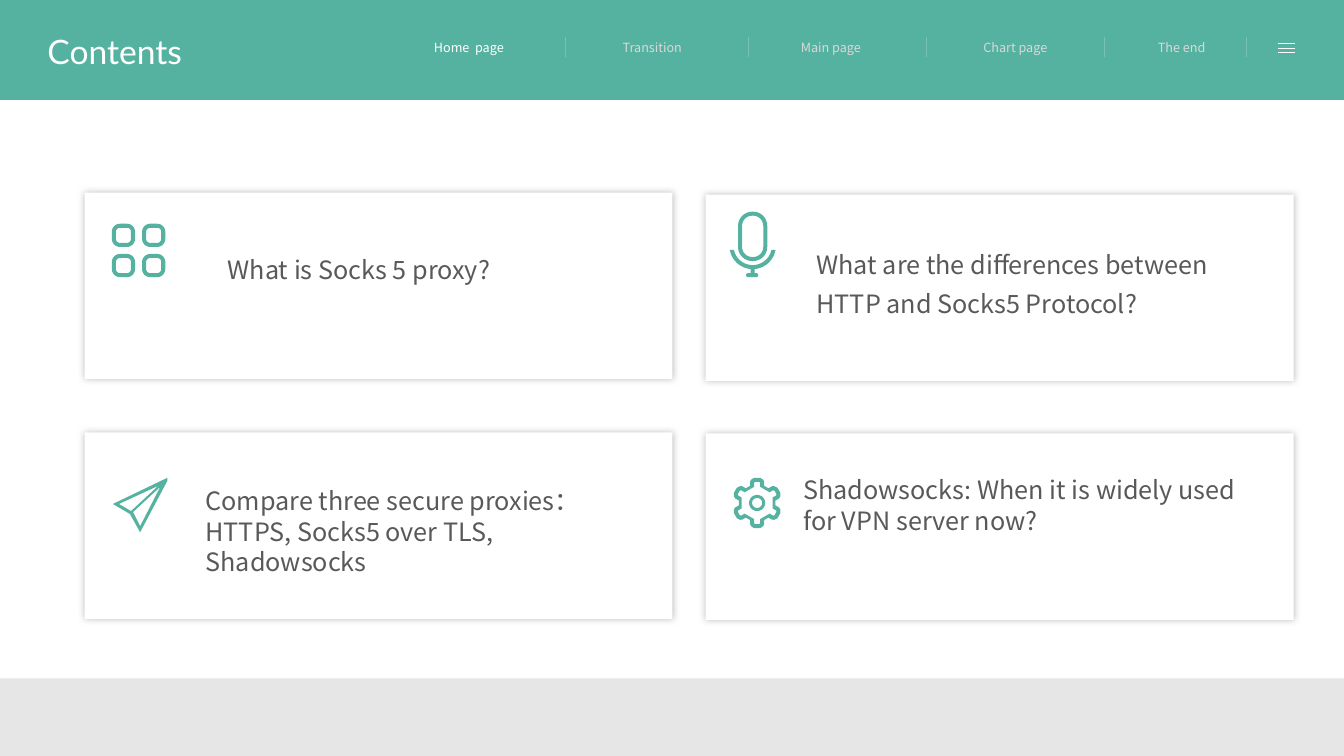
from dataclasses import dataclass
from math import cos, pi, sin

from lxml.etree import SubElement
from pptx import Presentation
from pptx.dml.color import RGBColor
from pptx.enum.shapes import MSO_CONNECTOR as Connector, MSO_SHAPE as Shape
from pptx.enum.text import MSO_ANCHOR as Anchor, MSO_AUTO_SIZE as AutoSize, PP_ALIGN as Align
from pptx.oxml.ns import qn
from pptx.util import Inches, Pt


@dataclass(frozen=True)
class Theme:
    """Colours, fonts and type sizes of the slide."""
    green: str = "55B2A0"
    divider: str = "78C2B4"
    white: str = "FFFFFF"
    footer: str = "E6E6E6"
    shadow: str = "BFBFBF"
    ink: str = "595959"
    muted: str = "D9D9D9"
    title_font: str = "Lato"
    font: str = "Noto Sans CJK SC"
    title_size: int = 24
    card_size: int = 18
    nav_size: int = 9


THEME = Theme()


def rgb(value):
    """Turn a hex string into a colour."""
    return RGBColor.from_string(value)


def place(shape, box):
    """Move a shape to a box given in inches."""
    shape.left, shape.top, shape.width, shape.height = map(Inches, box)


def write(shape, text, *, size, color, font=THEME.font, align=Align.LEFT, spacing=1.0):
    """Put one formatted paragraph into a shape."""
    frame = shape.text_frame
    frame.word_wrap = True
    frame.auto_size = AutoSize.SHAPE_TO_FIT_TEXT
    frame.vertical_anchor = Anchor.TOP
    paragraph = frame.paragraphs[0]
    paragraph.alignment = align
    paragraph.line_spacing = spacing
    run = paragraph.add_run()
    run.text = text
    run.font.name, run.font.size = font, Pt(size)
    run.font.color.rgb = rgb(color)
    SubElement(run.font._element, qn("a:ea"), typeface=font)


def add_text(slide, box, text, **style):
    """Add a text box with one formatted paragraph."""
    write(slide.shapes.add_textbox(*map(Inches, box)), text, **style)


def paint(shape, color):
    """Give a shape a flat fill without line or shadow."""
    shape.shadow.inherit = False
    shape.fill.solid()
    shape.fill.fore_color.rgb = rgb(color)
    shape.line.fill.background()
    return shape


def add_panel(slide, box, color):
    """Add a plain rectangle."""
    return paint(slide.shapes.add_shape(Shape.RECTANGLE, *map(Inches, box)), color)


def add_rule(shapes, start, end, color):
    """Add a hairline between two points."""
    rule = shapes.add_connector(Connector.STRAIGHT, *map(Inches, start + end))
    rule.line.color.rgb = rgb(color)
    rule.line.width = Pt(0.5)
    SubElement(rule._element.spPr, qn("a:effectLst"))


def arc(x, y, radius, start, end, steps=8):
    """List points on an arc, with angles in degrees."""
    angles = [(start + (end - start) * i / steps) * pi / 180 for i in range(steps + 1)]
    return [(x + radius * cos(a), y + radius * sin(a)) for a in angles]


def rounded(x, y, width, height, radius):
    """Outline a rounded rectangle."""
    left, right = x + radius, x + width - radius
    top, bottom = y + radius, y + height - radius
    corners = [(right, bottom), (left, bottom), (left, top), (right, top)]
    return [point for i, corner in enumerate(corners)
            for point in arc(*corner, radius, 90 * i, 90 * i + 90)]


def tiles_icon():
    """Outline four rounded tiles."""
    return [rounded(x + gap, y + gap, 0.23 - 2 * gap, 0.23 - 2 * gap, 0.08 - gap)
            for x in (0, 0.3) for y in (0, 0.3) for gap in (0, 0.04)]


def microphone_icon():
    """Outline a microphone on its stand."""
    middle, centre = 0.225, 0.34
    stand = (arc(middle, centre, 0.19, 12, 168, 24) + arc(middle, centre, 0.23, 170, 95, 12)
             + [(middle - 0.02, 0.61), (middle + 0.02, 0.61)]
             + arc(middle, centre, 0.23, 85, 10, 12))
    return [rounded(0.08, 0, 0.29, 0.49, 0.14), rounded(0.12, 0.04, 0.21, 0.41, 0.1),
            stand, rounded(0.16, 0.61, 0.12, 0.04, 0.02)]


def plane_icon():
    """Outline a paper plane."""
    return [[(0.52, 0.01), (0, 0.26), (0.17, 0.36), (0.27, 0.54), (0.54, 0.03), (0.54, 0)],
            [(0.06, 0.26), (0.45, 0.08), (0.18, 0.33)],
            [(0.27, 0.48), (0.2, 0.34), (0.47, 0.09)]]


def gear_icon():
    """Outline a gear with six teeth and a hub."""
    def rim(half_tooth):
        """Repeat one mirrored tooth around the centre."""
        tooth = [(-x, y) for x, y in half_tooth] + half_tooth[::-1]
        turns = [i * pi / 3 for i in range(6)]
        return [(0.25 + x * cos(a) - y * sin(a), 0.25 + x * sin(a) + y * cos(a))
                for a in turns for x, y in tooth]
    outer = [(0.07, -0.17), (0.07, -0.21), (0.06, -0.23), (0.03, -0.25)]
    inner = [(0.03, -0.16), (0.03, -0.2), (0.02, -0.21)]
    return [rim(outer), rim(inner), arc(0.25, 0.25, 0.08, 0, 360, 32),
            arc(0.25, 0.25, 0.05, 0, 360, 32)]


def add_icon(slide, left, top, outlines):
    """Draw the outlines as one green freeform."""
    paths = [[(Inches(left + x), Inches(top + y)) for x, y in line] for line in outlines]
    builder = slide.shapes.build_freeform(*paths[0][0])
    builder.add_line_segments(paths[0][1:], close=True)
    for path in paths[1:]:
        builder.move_to(*path[0])
        builder.add_line_segments(path[1:], close=True)
    paint(builder.convert_to_shape(), THEME.green)


def add_header(slide, box):
    """Build the band with title, navigation and menu sign."""
    left, top, width, height = box
    add_panel(slide, box, THEME.green)
    title = slide.shapes.title
    title.element.getparent().append(title.element)
    place(title, (left + 0.37, top + 0.26, 2.55, 0.5))
    write(title, "Contents", size=THEME.title_size, color=THEME.white, font=THEME.title_font)
    entries = [("Home  page", 3.93, 1.44, 5.61), ("Transition", 5.8, 1.34, 7.42),
               ("Main page", 7.57, 1.34, 9.19), ("Chart page", 9.34, 1.46, 10.95),
               ("The end", 11.24, 0.96, 12.36)]
    for i, (label, x, label_width, divider) in enumerate(entries):
        add_text(slide, (left + x, top + 0.35, label_width, 0.25), label, size=THEME.nav_size,
                 color=THEME.muted if i else THEME.white, align=Align.CENTER)
        add_rule(slide.shapes, (left + divider, top + 0.37), (left + divider, top + 0.57),
                 THEME.divider)
    menu = slide.shapes.add_group_shape()
    for y in (0.43, 0.48, 0.52):
        add_rule(menu.shapes, (left + 12.68, top + y), (left + 12.84, top + y), THEME.white)


def add_card(slide, box, icon, icon_at, topic, topic_box, spacing=1.0):
    """Build a shadowed card with its icon and topic."""
    left, top = box[:2]
    card = add_panel(slide, box, THEME.white)
    effects = card._element.spPr.find(qn("a:effectLst"))
    glow = SubElement(effects, qn("a:outerShdw"), blurRad=str(Pt(5)), dist="0", dir="0",
                      algn="ctr", rotWithShape="0")
    SubElement(glow, qn("a:srgbClr"), val=THEME.shadow)
    add_icon(slide, left + icon_at[0], top + icon_at[1], icon)
    x, y, width, height = topic_box
    add_text(slide, (left + x, top + y, width, height), topic, size=THEME.card_size,
             color=THEME.ink, spacing=spacing)


def build_contents(slide):
    """Lay out the contents slide."""
    add_panel(slide, (0, 6.73, 13.33, 0.77), THEME.footer)
    add_header(slide, (0, 0, 13.33, 0.99))
    size = (5.83, 1.85)
    add_card(slide, (0.84, 1.91, *size), tiles_icon(), (0.27, 0.31),
             "What is Socks 5 proxy?", (1.32, 0.56, 3.82, 0.4))
    add_card(slide, (7, 1.93, *size), microphone_icon(), (0.24, 0.17),
             "What are the differences between HTTP and Socks5 Protocol?",
             (1, 0.4, 4.43, 0.85), spacing=1.3)
    add_card(slide, (0.84, 4.29, *size), plane_icon(), (0.28, 0.45),
             "Compare three secure proxies：HTTPS, Socks5 over TLS, Shadowsocks",
             (1.1, 0.48, 4.41, 1.01))
    add_card(slide, (7, 4.3, *size), gear_icon(), (0.26, 0.44),
             "Shadowsocks: When it is widely used for VPN server now?",
             (0.87, 0.36, 4.49, 0.71))


def main():
    """Create and save the presentation."""
    deck = Presentation()
    deck.slide_width, deck.slide_height = Inches(13.33), Inches(7.5)
    build_contents(deck.slides.add_slide(deck.slide_layouts[5]))
    deck.save("out.pptx")


if __name__ == "__main__":
    main()
